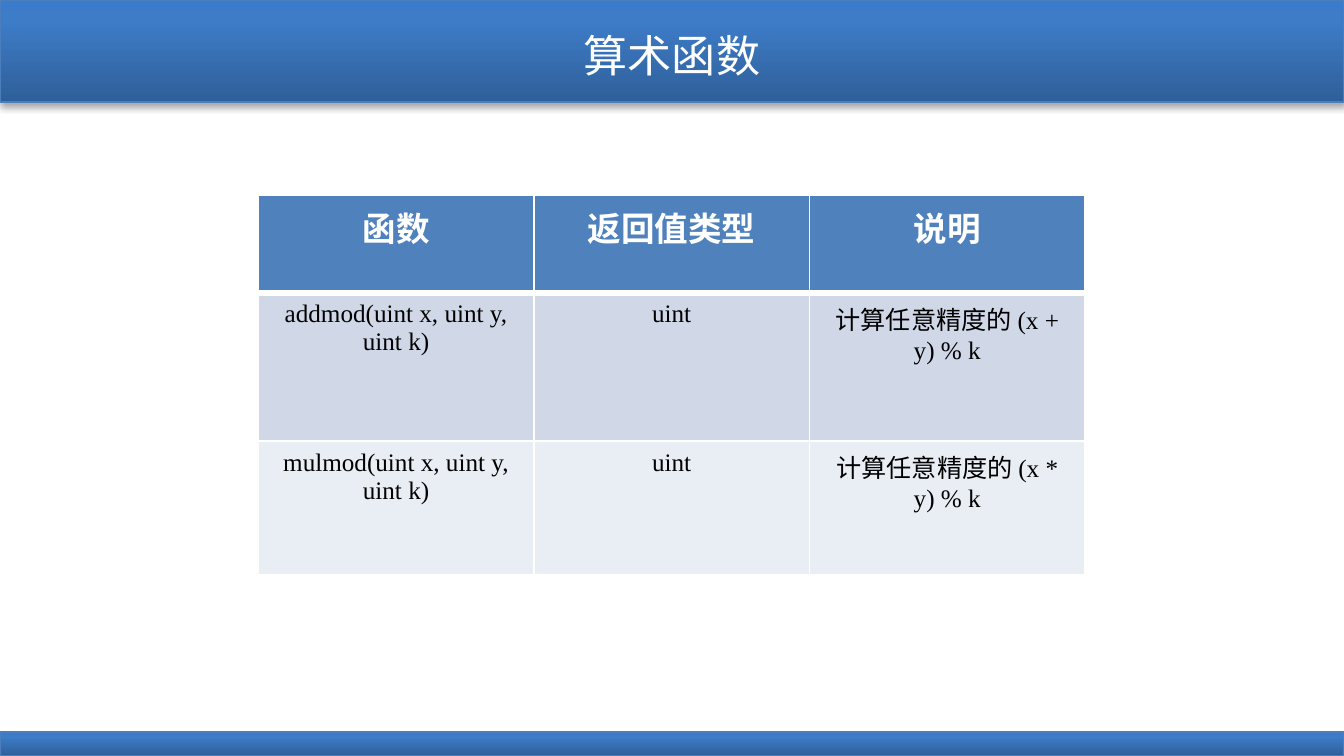
import pptx
import pptx.dml.color
import pptx.enum.shapes
import pptx.enum.text
import pptx.oxml
import pptx.oxml.ns
import pptx.util

Cm, Pt = pptx.util.Cm, pptx.util.Pt
NS = pptx.oxml.ns.nsdecls("a")
CENTER = pptx.enum.text.PP_ALIGN.CENTER


def rgb(value):
    return pptx.dml.color.RGBColor.from_string(value)


def write(tf, text, **font):
    """Fill a text frame with one centred run in the given font format."""
    p = tf.paragraphs[0]
    p.alignment = CENTER
    r = p.add_run()
    r.text = text
    r.font.color.rgb = rgb(font.pop("color"))
    for name, value in font.items():
        setattr(r.font, name, value)


prs = pptx.Presentation()
prs.slide_width, prs.slide_height = Cm(22.58), Cm(12.7)
s = prs.slides.add_slide(prs.slide_layouts[6])

# Header and footer bands; only the header has room for a shadow below it
stops = "".join(
    f'<a:gs pos="{pos * 1000}"><a:srgbClr val="{color}"/></a:gs>'
    for pos, color in [(0, "2F5F99"), (80, "3D7CC7"), (100, "3A7CCB")]
)
gradient = (f'<a:gradFill {NS} rotWithShape="1"><a:gsLst>{stops}</a:gsLst>'
            '<a:lin ang="16200000" scaled="0"/></a:gradFill>')
shadow = (f'<a:effectLst {NS}><a:outerShdw blurRad="{Pt(3.1)}" dist="{Pt(1.8)}" '
          'dir="5400000" rotWithShape="0"><a:srgbClr val="000000">'
          '<a:alpha val="35000"/></a:srgbClr></a:outerShdw></a:effectLst>')
no_shadow = f"<a:effectLst {NS}/>"
for top, height, effect in [(0, 1.72, shadow), (12.3, 0.4, no_shadow)]:
    sp = s.shapes.add_shape(pptx.enum.shapes.MSO_SHAPE.RECTANGLE,
                            0, Cm(top), prs.slide_width, Cm(height))
    sp.line.color.rgb = rgb("4B7EBC")
    sp.line.width = Pt(0.75)
    spPr = sp.element.spPr
    spPr.insert(2, pptx.oxml.parse_xml(gradient))
    spPr.append(pptx.oxml.parse_xml(effect))

# Title
sp = s.shapes.add_textbox(0, Cm(0.31), prs.slide_width, Cm(1.22))
tf = sp.text_frame
tf.word_wrap = True
tf.vertical_anchor = pptx.enum.text.MSO_ANCHOR.MIDDLE
write(tf, "算术函数", size=Pt(21), name="Times New Roman", color="FFFFFF")

# Function table
rows = [
    ("函数", "返回值类型", "说明"),
    ("addmod(uint x, uint y, uint k)", "uint", "计算任意精度的 (x + y) % k"),
    ("mulmod(uint x, uint y, uint k)", "uint", "计算任意精度的 (x * y) % k"),
]
heights = [1.65, 2.49, 2.24]
fills = ["4F81BD", "D0D8E8", "E9EDF4"]
header_font = {"size": Pt(16), "bold": True, "color": "FFFFFF"}
body_font = {"size": Pt(12), "bold": False, "color": "000000"}

table = s.shapes.add_table(3, 3, Cm(4.34), Cm(3.27), Cm(13.89), Cm(sum(heights))).table
for column in table.columns:
    column.width = Cm(4.63)
for i, texts in enumerate(rows):
    table.rows[i].height = Cm(heights[i])
    font = body_font if i else header_font
    # The rule between header and body is thicker than the rest
    widths = {"L": 1, "R": 1, "T": 3 if i == 1 else 1, "B": 1 if i else 3}
    for j, text in enumerate(texts):
        cell = table.cell(i, j)
        write(cell.text_frame, text, name="Times New Roman", **font)
        cell.fill.solid()
        cell.fill.fore_color.rgb = rgb(fills[i])
        tcPr = cell._tc.get_or_add_tcPr()
        for k, (side, width) in enumerate(widths.items()):
            tcPr.insert(k, pptx.oxml.parse_xml(
                f'<a:ln{side} {NS} w="{Pt(width)}"><a:solidFill>'
                f'<a:srgbClr val="FFFFFF"/></a:solidFill></a:ln{side}>'))

prs.save("out.pptx")
